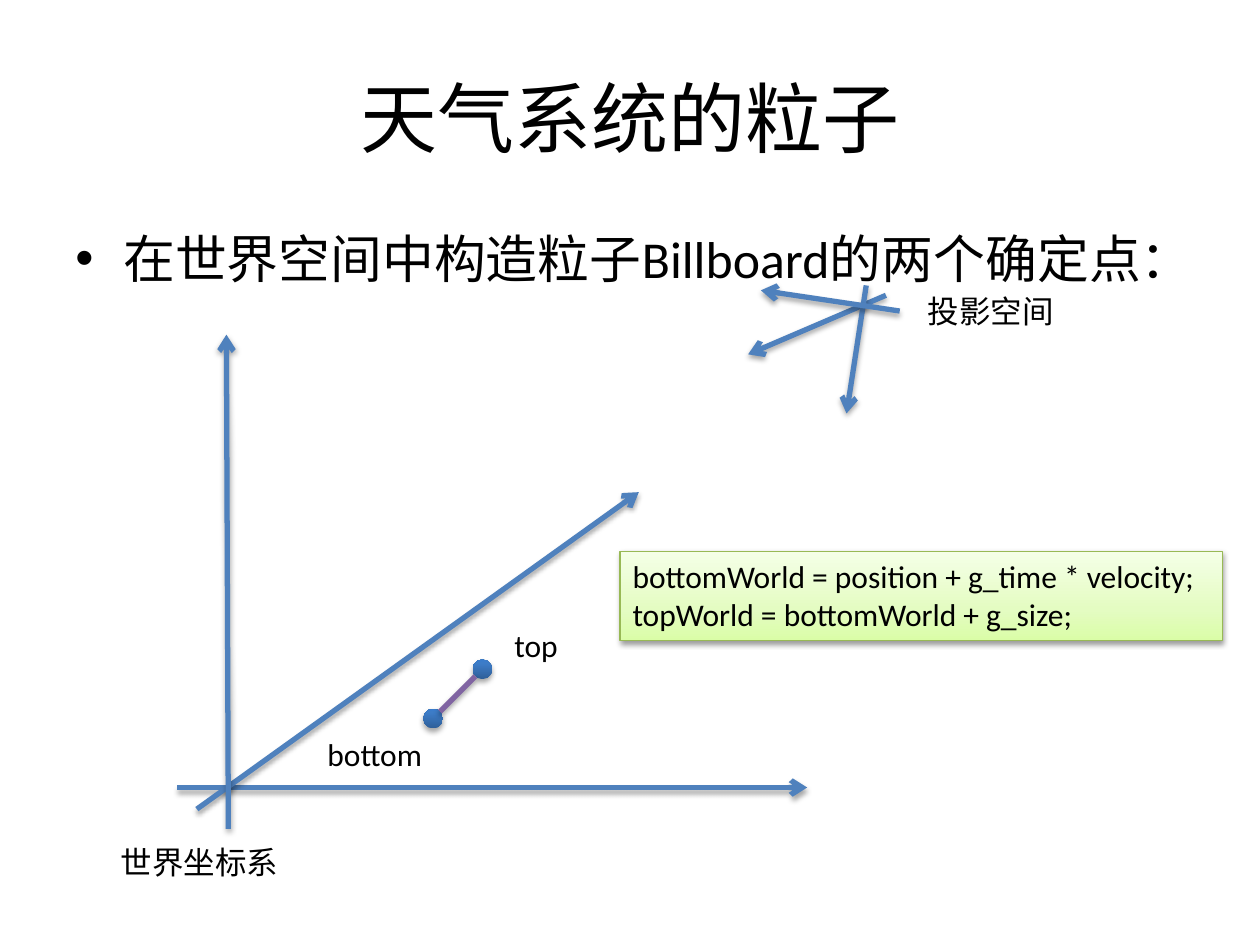
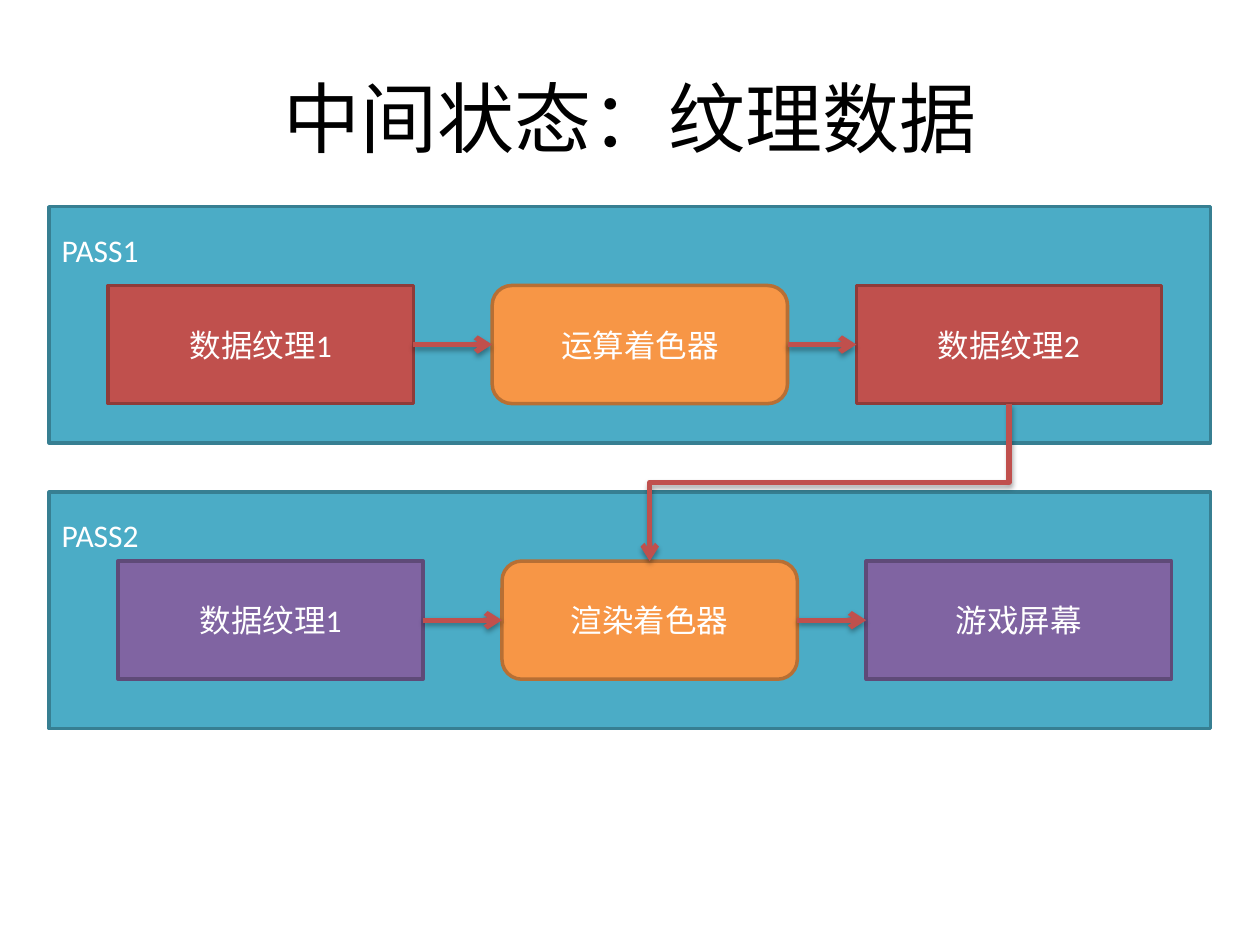
from dataclasses import dataclass

from lxml import etree
from pptx import Presentation
from pptx.dml.color import RGBColor
from pptx.enum.shapes import MSO_CONNECTOR, MSO_SHAPE
from pptx.enum.text import MSO_ANCHOR, PP_ALIGN
from pptx.oxml.ns import qn
from pptx.util import Inches, Pt

STRAIGHT, ELBOW = MSO_CONNECTOR.STRAIGHT, MSO_CONNECTOR.ELBOW
RECTANGLE, ROUNDED, OVAL = MSO_SHAPE.RECTANGLE, MSO_SHAPE.ROUNDED_RECTANGLE, MSO_SHAPE.OVAL
LEFT, CENTER = PP_ALIGN.LEFT, PP_ALIGN.CENTER
TOP, MIDDLE = MSO_ANCHOR.TOP, MSO_ANCHOR.MIDDLE
TOP_SITE, LEFT_SITE, BOTTOM_SITE, RIGHT_SITE = range(4)

SLIDE_WIDTH, SLIDE_HEIGHT = Inches(10), Inches(7.5)
CELL = SLIDE_WIDTH / 128  # the slide is a grid of 128 columns and 96 rows


@dataclass(frozen=True)
class Theme:
    font: str = "Calibri"
    title_size: float = 44
    bullet_size: float = 29.6
    text_size: float = 18
    ink: str = "000000"
    paper: str = "FFFFFF"
    axis: str = "4F81BD"
    segment: str = "8064A2"
    arrow: str = "C0504D"
    line_width: float = 3
    border_width: float = 2
    # Fill and border of each kind of block
    band: tuple = ("4BACC6", "377F92")
    texture: tuple = ("C0504D", "8E3B39")
    shader: tuple = ("F79646", "B76F34")
    output: tuple = ("8064A2", "5F4A78")
    # Gradient stops from bottom to top
    dot: tuple = ((0, "2F5F99"), (80, "3D7CC7"), (100, "3A7CCB"))
    code: tuple = ((0, "DAFDA7"), (35, "E4FCC2"), (100, "F5FFE7"))
    code_border: str = "98B955"


THEME = Theme()


@dataclass(frozen=True)
class Box:
    """An area in grid columns and rows."""
    column: float
    row: float
    columns: float
    rows: float

    def point(self, column, row):
        return self.column + column, self.row + row

    def inside(self, column, row, columns, rows):
        return Box(*self.point(column, row), columns, rows)

    def lengths(self):
        return cells(self.column, self.row, self.columns, self.rows)


TITLE_BOX = Box(6.4, 3.84, 115.2, 16)
BULLET_BOX = Box(6.4, 22.4, 115.2, 7.5)


def cells(*counts):
    return [round(count * CELL) for count in counts]


def add_child(parent, tag, **attributes):
    return etree.SubElement(parent, qn(tag), attributes)


def add_shadow(effects, opacity=35, distance=1.8):
    shadow = add_child(effects, "a:outerShdw", blurRad=str(Pt(3.1)), dist=str(Pt(distance)),
                       dir="5400000", rotWithShape="0")
    color = add_child(shadow, "a:srgbClr", val=THEME.ink)
    add_child(color, "a:alpha", val=str(opacity * 1000))


def shade(shape, stops, opacity=35, distance=1.8):
    """Give a shape an upward gradient and a soft shadow."""
    shape.fill.gradient()
    shape.fill.gradient_angle = 90
    properties = shape._element.spPr
    stop_list = properties.find(".//" + qn("a:gsLst"))
    for stop in list(stop_list):
        stop_list.remove(stop)
    for position, color in stops:
        stop = add_child(stop_list, "a:gs", pos=str(position * 1000))
        add_child(stop, "a:srgbClr", val=color)
    add_shadow(properties.find(qn("a:effectLst")), opacity, distance)


def write(shape, text, size=THEME.text_size, color=THEME.ink, align=LEFT, anchor=TOP, wrap=True):
    frame = shape.text_frame
    frame.text = text
    frame.word_wrap = wrap
    frame.vertical_anchor = anchor
    for paragraph in frame.paragraphs:
        paragraph.alignment = align
        for run in paragraph.runs:
            run.font.name = THEME.font
            run.font.size = Pt(size)
            run.font.color.rgb = RGBColor.from_string(color)


def add_text(slide, box, text, **style):
    shape = slide.shapes.add_textbox(*box.lengths())
    write(shape, text, **style)
    return shape


def add_plain_shape(slide, kind, box):
    shape = slide.shapes.add_shape(kind, *box.lengths())
    shape.shadow.inherit = False
    return shape


def set_border(shape, color, width):
    shape.line.color.rgb = RGBColor.from_string(color)
    shape.line.width = Pt(width)


def add_block(slide, kind, box, colors, text, **style):
    fill, border = colors
    shape = add_plain_shape(slide, kind, box)
    shape.fill.solid()
    shape.fill.fore_color.rgb = RGBColor.from_string(fill)
    set_border(shape, border, THEME.border_width)
    write(shape, text, color=THEME.paper, **style)
    return shape


def finish_line(connector, color, arrow=True):
    set_border(connector, color, THEME.line_width)
    properties = connector._element.spPr
    if arrow:
        add_child(properties.find(qn("a:ln")), "a:tailEnd", type="arrow")
    add_shadow(add_child(properties, "a:effectLst"))


def add_line(slide, start, end, color, arrow=True):
    connector = slide.shapes.add_connector(STRAIGHT, *cells(*start, *end))
    finish_line(connector, color, arrow)


def link(slide, source, source_site, target, target_site):
    connector = slide.shapes.add_connector(ELBOW, 0, 0, 0, 0)
    connector.begin_connect(source, source_site)
    connector.end_connect(target, target_site)
    if source_site == BOTTOM_SITE:
        turn_down(connector)
    finish_line(connector, THEME.arrow)


def turn_down(connector):
    """Rotate a leftward elbow so that it leaves and arrives vertically."""
    drop = connector.end_y - connector.begin_y
    run = connector.begin_x - connector.end_x
    middle_x = (connector.begin_x + connector.end_x) // 2
    middle_y = (connector.begin_y + connector.end_y) // 2
    connector.left, connector.top = middle_x - drop // 2, middle_y - run // 2
    connector.width, connector.height = drop, run
    transform = connector._element.spPr.find(qn("a:xfrm"))
    transform.attrib.pop("flipH", None)
    transform.set("rot", "5400000")


def add_title(slide, text):
    add_text(slide, TITLE_BOX, text, size=THEME.title_size, align=CENTER, anchor=MIDDLE)


def add_bullet(slide, box, text):
    shape = add_text(slide, box, text, size=THEME.bullet_size)
    paragraph = shape.text_frame.paragraphs[0]
    paragraph.space_before = Pt(6)
    properties = paragraph._p.get_or_add_pPr()
    indent = Inches(0.38)
    properties.set("marL", str(indent))
    properties.set("indent", str(-indent))
    add_child(properties, "a:buFont", typeface="Arial")
    add_child(properties, "a:buChar", char="•")


def add_axes(slide, box, axes):
    for start, end in axes:
        add_line(slide, box.point(*start), box.point(*end), THEME.axis)


def add_labels(slide, box, labels):
    for text, column, row, columns in labels:
        add_text(slide, box.inside(column, row, columns, 5.1), text, wrap=False)


def add_world_space(slide, box):
    for column, row in ((32, 38), (37, 33)):
        dot = add_plain_shape(slide, OVAL, box.inside(column, row, 2, 2))
        shade(dot, THEME.dot)
        dot.line.fill.background()
    add_axes(slide, box, (((7, 46), (71, 46)),
                          ((9, 48.2), (53.9, 16)),
                          ((12.2, 50.2), (12, 0))))
    add_line(slide, box.point(33.7, 38.3), box.point(37.3, 34.7), THEME.segment, arrow=False)
    add_labels(slide, box, (("bottom", 21, 40, 12.4),
                            ("top", 40, 29, 7),
                            ("世界坐标系", 0, 51, 18.7)))


def add_projection_space(slide, box):
    add_axes(slide, box, (((14, 1), (0, 7)),
                          ((12, 0), (10, 13)),
                          ((15.4, 2.6), (1.3, 0.5))))
    add_labels(slide, box, (("投影空间", 17, 0, 15.5),))


def add_code(slide, box, text):
    shape = add_plain_shape(slide, RECTANGLE, box)
    shade(shape, THEME.code, opacity=38, distance=1.6)
    set_border(shape, THEME.code_border, 0.75)
    write(shape, text, wrap=False)


def add_band(slide, box, name):
    band = add_block(slide, RECTANGLE, box, THEME.band, name)
    band.text_frame.margin_top = Inches(0.19)


def add_stages(slide, box, names, colors):
    """Draw data, shader and result from left to right, linked by arrows."""
    stages = [
        add_block(slide, kind, box.inside(column, 0, columns, box.rows), fill, name,
                  align=CENTER, anchor=MIDDLE)
        for name, kind, column, columns, fill in zip(
            names, (RECTANGLE, ROUNDED, RECTANGLE), (0, 39, 76), (31, 30, 31),
            (colors, THEME.shader, colors))
    ]
    for source, target in zip(stages, stages[1:]):
        link(slide, source, RIGHT_SITE, target, LEFT_SITE)
    return stages


def build_particle_slide(slide):
    add_title(slide, "天气系统的粒子")
    add_world_space(slide, Box(11, 34, 71, 56))
    add_projection_space(slide, Box(76, 29, 32, 13))
    add_bullet(slide, BULLET_BOX, "在世界空间中构造粒子Billboard的两个确定点：")
    add_code(slide, Box(63, 56, 61.2, 9.1),
             "bottomWorld = position + g_time * velocity;\ntopWorld = bottomWorld + g_size;")


def build_texture_slide(slide):
    first_band = Box(5, 21, 118, 24)
    second_band = Box(5, 50, 118, 24)
    add_band(slide, second_band, "PASS2")
    add_band(slide, first_band, "PASS1")
    add_title(slide, "中间状态：纹理数据")
    first = add_stages(slide, first_band.inside(6, 8, 107, 12),
                       ("数据纹理1", "运算着色器", "数据纹理2"), THEME.texture)
    second = add_stages(slide, second_band.inside(7, 7, 107, 12),
                        ("数据纹理1", "渲染着色器", "游戏屏幕"), THEME.output)
    link(slide, first[-1], BOTTOM_SITE, second[1], TOP_SITE)


def main():
    presentation = Presentation()
    presentation.slide_width, presentation.slide_height = SLIDE_WIDTH, SLIDE_HEIGHT
    blank = presentation.slide_layouts[6]
    for build in (build_particle_slide, build_texture_slide):
        build(presentation.slides.add_slide(blank))
    presentation.save("out.pptx")


if __name__ == "__main__":
    main()
